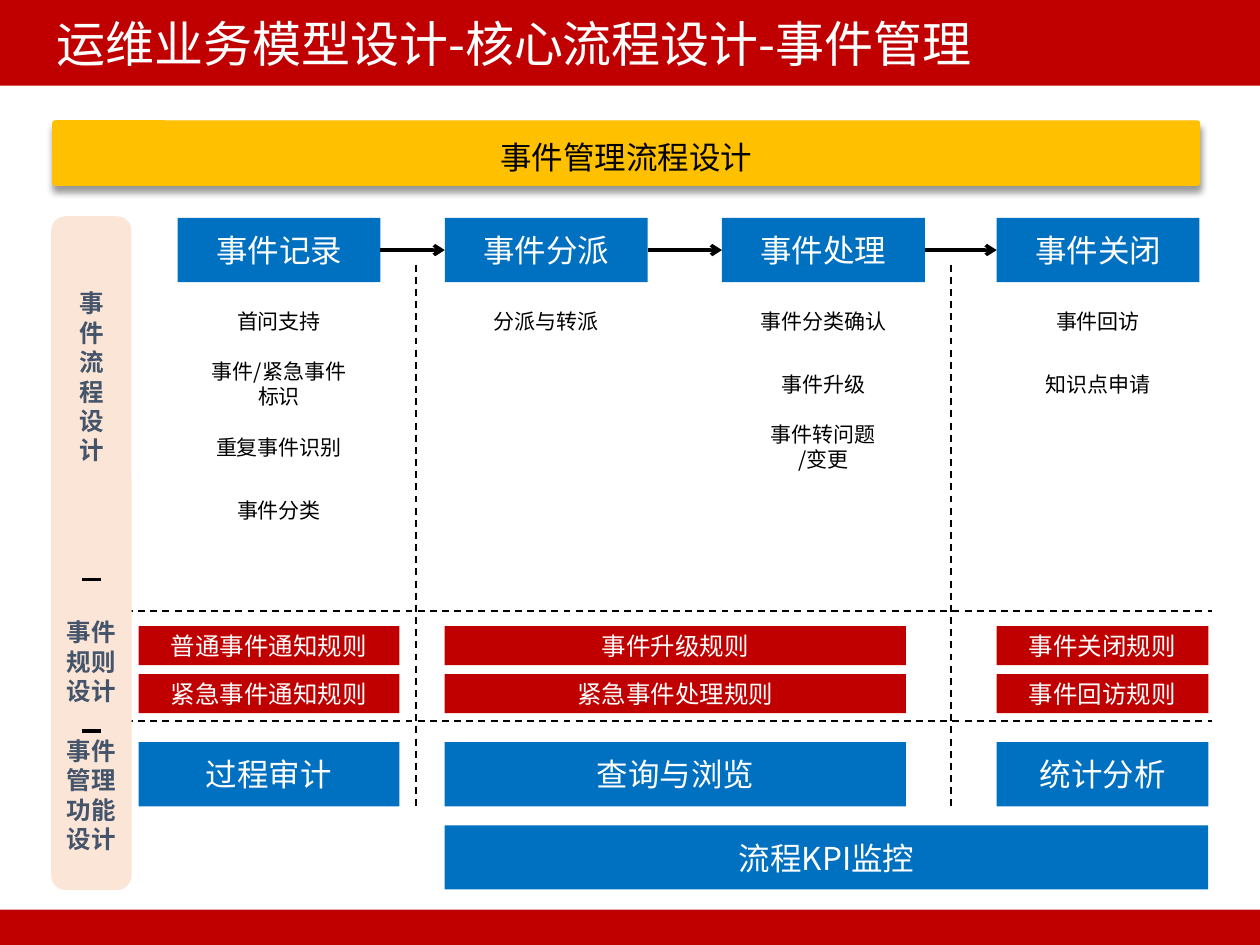
from lxml import etree
from pptx import Presentation
from pptx.dml.color import RGBColor
from pptx.enum.dml import MSO_LINE
from pptx.enum.shapes import MSO_CONNECTOR, MSO_SHAPE
from pptx.enum.text import MSO_ANCHOR, MSO_AUTO_SIZE, PP_ALIGN
from pptx.oxml import parse_xml
from pptx.oxml.ns import nsdecls, qn
from pptx.util import Inches, Pt

RECT, ROUND = MSO_SHAPE.RECTANGLE, MSO_SHAPE.ROUNDED_RECTANGLE
STRAIGHT, DASH = MSO_CONNECTOR.STRAIGHT, MSO_LINE.DASH
LEFT, CENTER = PP_ALIGN.LEFT, PP_ALIGN.CENTER
MIDDLE, TOP, NO_FIT = MSO_ANCHOR.MIDDLE, MSO_ANCHOR.TOP, MSO_AUTO_SIZE.NONE

RED = RGBColor(0xC0, 0x00, 0x00)
BLUE = RGBColor(0x00, 0x70, 0xC0)
GOLD = RGBColor(0xFF, 0xC0, 0x00)
PEACH = RGBColor(0xFB, 0xE5, 0xD6)
SLATE = RGBColor(0x44, 0x54, 0x6A)
WHITE = RGBColor(0xFF, 0xFF, 0xFF)
BLACK = RGBColor(0x00, 0x00, 0x00)

FONT = "Noto Sans CJK SC"
STYLES = {
    "title": ({"size": Pt(28), "bold": False}, WHITE),
    "banner": ({"size": Pt(18)}, BLACK),
    "step": ({"size": Pt(18)}, WHITE),
    "rule": ({"size": Pt(14)}, WHITE),
    "item": ({"size": Pt(12)}, BLACK),
    "side": ({"size": Pt(14), "bold": True}, SLATE),
}

STEP_W, STEP_H = 1.61, 0.51
STEPS = [
    (1.41, "事件记录", ["首问支持", "事件/紧急事件标识", "重复事件识别", "事件分类"]),
    (3.53, "事件分派", ["分派与转派"]),
    (5.73, "事件处理", ["事件分类确认", "事件升级", "事件转问题\n/变更"]),
    (7.91, "事件关闭", ["事件回访", "知识点申请"]),
]
LANES = [
    (1.1, 2.07, ["普通事件通知规则", "紧急事件通知规则"], "过程审计"),
    (3.53, 3.66, ["事件升级规则", "紧急事件处理规则"], "查询与浏览"),
    (7.91, 1.68, ["事件关闭规则", "事件回访规则"], "统计分析"),
]


def write(frame, text, style, align=CENTER, anchor=MIDDLE):
    frame.word_wrap = True
    frame.vertical_anchor = anchor
    frame.text = text
    values, color = STYLES[style]
    for para in frame.paragraphs:
        para.alignment = align
        for run in para.runs:
            for name, value in {"name": FONT, **values}.items():
                setattr(run.font, name, value)
            run.font.color.rgb = color
            # East Asian text takes its typeface from a:ea
            face = etree.SubElement(run.font._element, qn("a:ea"))
            face.set("typeface", FONT)


def add_box(slide, box, fill, text="", style="step", kind=RECT, edge=None):
    shape = slide.shapes.add_shape(kind, *map(Inches, box))
    shape.shadow.inherit = False
    shape.fill.solid()
    shape.fill.fore_color.rgb = fill
    if edge:
        shape.line.color.rgb = fill
        shape.line.width = Pt(edge)
    else:
        shape.line.fill.background()
    if text:
        write(shape.text_frame, text, style)
    return shape


def add_line(slide, start, end, width, dash=None, arrow=False):
    line = slide.shapes.add_connector(STRAIGHT, *map(Inches, start + end))
    line.line.color.rgb = BLACK
    line.line.width = Pt(width)
    if dash:
        line.line.dash_style = dash
    if arrow:
        etree.SubElement(line.line._get_or_add_ln(), qn("a:tailEnd")).set("type", "arrow")
    etree.SubElement(line._element.spPr, qn("a:effectLst"))


def add_frame(slide, head, foot):
    """Put the red bands behind the title placeholder."""
    for box in (foot, head):
        band = add_box(slide, box, RED)
        slide.shapes._spTree.insert(2, band._element)
    title = slide.shapes.title
    place = {"left": 0.35, "top": head[1], "width": 9.29, "height": head[3]}
    for name, value in place.items():
        setattr(title, name, Inches(value))
    write(title.text_frame, "运维业务模型设计-核心流程设计-事件管理", "title", LEFT)
    title.text_frame.auto_size = NO_FIT


def add_banner(slide, box):
    shape = add_box(slide, box, GOLD, "事件管理流程设计", "banner", ROUND, 0.75)
    shape.adjustments[0] = 0.037
    shape.text_frame.paragraphs[0].line_spacing = 1.2
    effects = shape._element.spPr.find(qn("a:effectLst"))
    effects.append(parse_xml(
        f'<a:outerShdw {nsdecls("a")} blurRad="{Pt(4)}" dist="{Pt(3)}" dir="5400000" '
        'rotWithShape="0"><a:srgbClr val="000000"><a:alpha val="40000"/></a:srgbClr>'
        "</a:outerShdw>"))


def add_step(slide, box, name, items):
    left, top, width, height = box
    add_box(slide, box, BLUE, name)
    item_w, item_h, pitch = 1.34, 0.41, 0.5
    for row, item in enumerate(items):
        spot = (left + (width - item_w) / 2, top + height + 0.1 + row * pitch, item_w, item_h)
        add_box(slide, spot, WHITE, item, "item", ROUND, 0.75)


def add_flow(slide, top):
    for left, name, items in STEPS:
        add_step(slide, (left, top, STEP_W, STEP_H), name, items)
    mid = top + STEP_H / 2
    for here, after in zip(STEPS, STEPS[1:]):
        add_line(slide, (here[0] + STEP_W, mid), (after[0], mid), 2, arrow=True)


def add_lane(slide, box, rules, task):
    left, top, width, height = box
    for row, rule in enumerate(rules):
        add_box(slide, (left, top + row * 0.38, width, 0.31), RED, rule, "rule")
    add_box(slide, (left, top + height - STEP_H, width, STEP_H), BLUE, task)


def add_grid(slide):
    for x in (3.3, 7.55):
        add_line(slide, (x, 2.1), (x, 6.4), 1, DASH)
    for y in (4.85, 5.72):
        add_line(slide, (1, y), (9.62, y), 1, DASH)


def add_side(slide, box):
    left, top, width, _ = box
    add_box(slide, box, PEACH, kind=ROUND, edge=2)
    labels = [
        ("事件流程设计", 0.51, 0.46, 1.63),
        ("事件规则设计", 3.12, width, 0.87),
        ("事件管理功能设计", 4.06, width, 1.12),
    ]
    for text, drop, wide, high in labels:
        spot = (left + (width - wide) / 2, top + drop, wide, high)
        label = slide.shapes.add_textbox(*map(Inches, spot))
        write(label.text_frame, text, "side", anchor=TOP)
    for y in (4.6, 5.8):
        add_line(slide, (0.65, y), (0.8, y), 2)


def main():
    deck = Presentation()
    deck.slide_width, deck.slide_height = Inches(10), Inches(7.5)
    slide = deck.slides.add_slide(deck.slide_layouts[5])
    add_frame(slide, (0, 0, 10, 0.68), (0, 7.22, 10, 0.28))
    add_banner(slide, (0.42, 0.96, 9.1, 0.51))
    add_flow(slide, 1.73)
    for left, width, rules, task in LANES:
        add_lane(slide, (left, 4.97, width, 1.43), rules, task)
    add_box(slide, (3.53, 6.55, 6.06, STEP_H), BLUE, "流程KPI监控")
    add_grid(slide)
    add_side(slide, (0.42, 1.73, 0.61, 5.32))
    deck.save("out.pptx")


if __name__ == "__main__":
    main()
